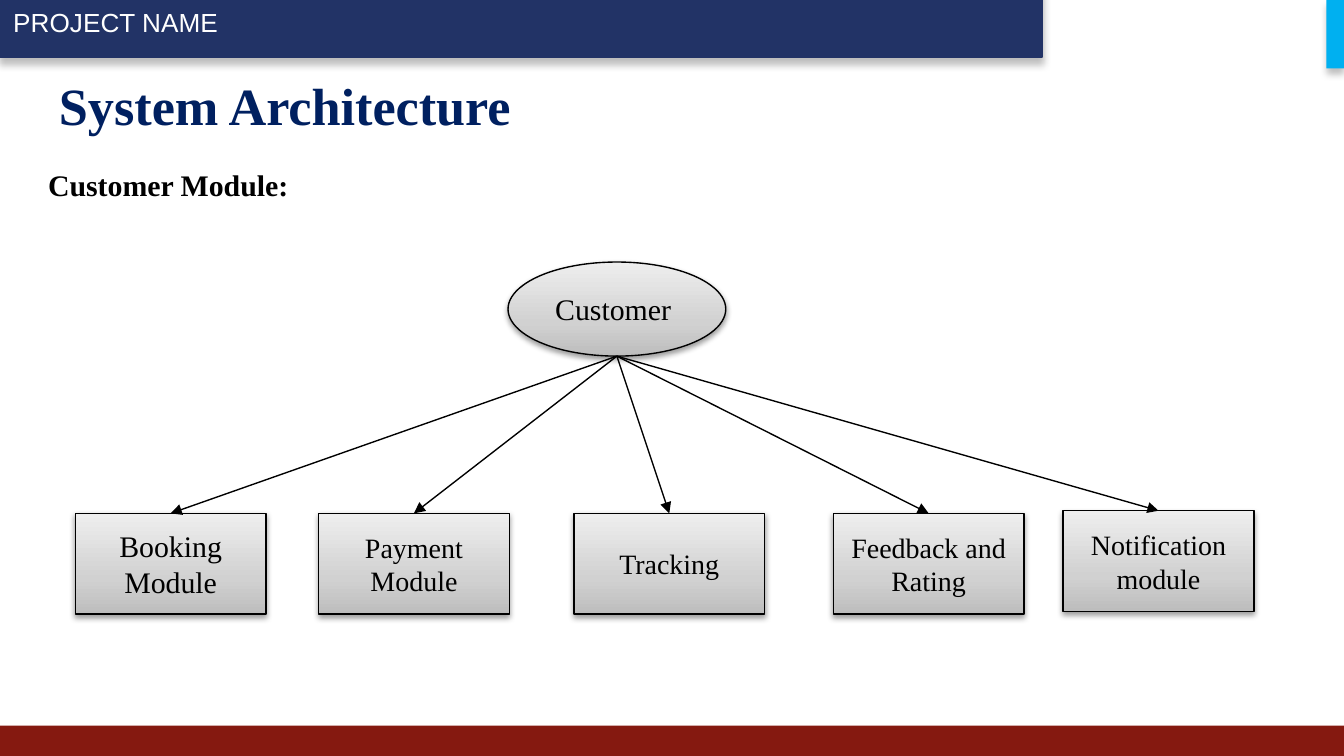
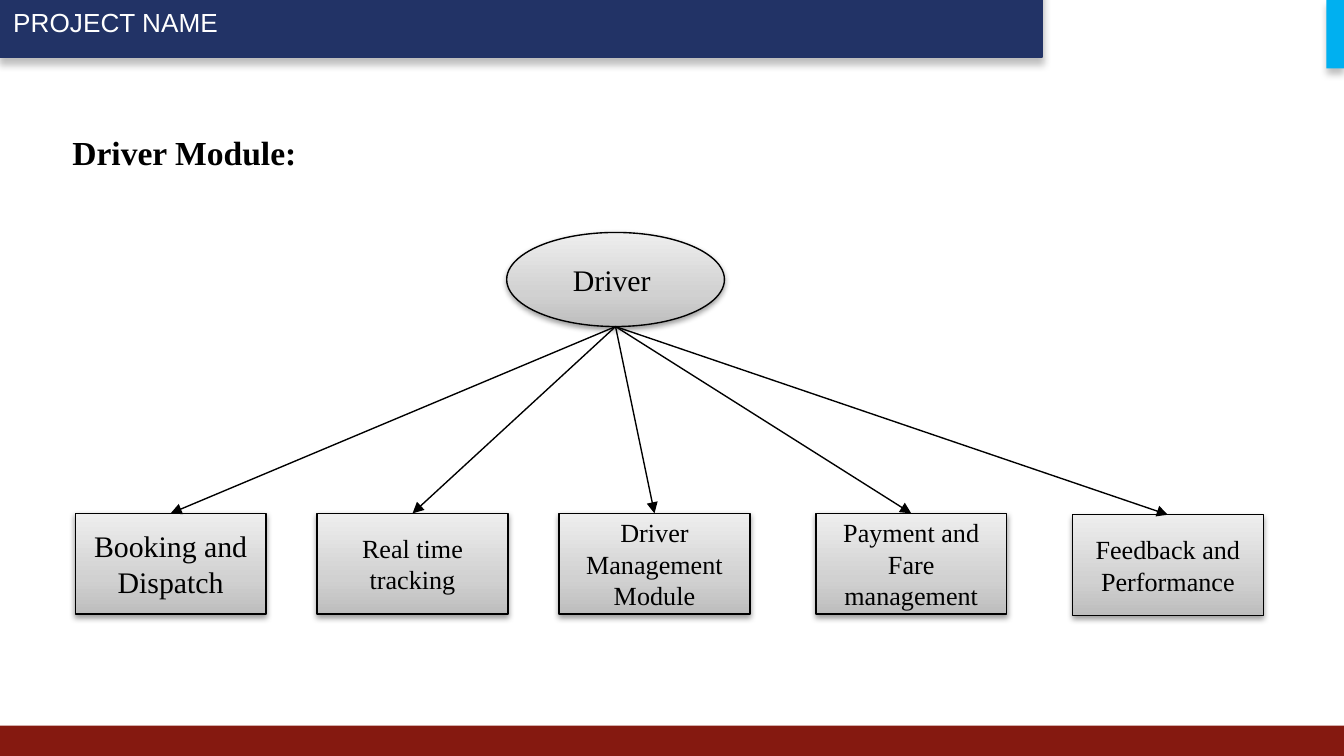
from lxml import etree
from pptx import Presentation
from pptx.dml.color import RGBColor
from pptx.enum.shapes import MSO_CONNECTOR as Connector, MSO_SHAPE as Preset
from pptx.enum.text import MSO_ANCHOR as Anchor, PP_ALIGN as Align
from pptx.oxml.ns import qn
from pptx.util import Inches, Pt

SERIF, SANS = "Times New Roman", "Arial"
NAVY, TITLE_BLUE, MAROON, SKY = "223366", "002060", "851910", "00B0F0"
BLACK, WHITE = "000000", "FFFFFF"
NODE_STOPS = ((0, "BDBDBD"), (35, "D1D1D1"), (100, "EEEEEE"))
# opacity in percent, blur and distance in points
BAND_SHADOW = (25, 4, 3)
NODE_SHADOW = (38, 3.1, 1.6)
NODE_LINE = 0.75
ELLIPSE_SIZE = (1.62, 0.7)
MODULE_SIZE = (1.42, 0.75)


def color(value):
    return RGBColor.from_string(value)


def add_color(parent, value):
    return etree.SubElement(parent, qn("a:srgbClr"), val=value)


def write(shape, text, align=Align.LEFT, anchor=Anchor.MIDDLE, ink=BLACK, **font):
    frame = shape.text_frame
    frame.word_wrap = True
    frame.vertical_anchor = anchor
    para = frame.paragraphs[0]
    para.alignment = align
    span = para.add_run()
    span.text = text
    for name, value in font.items():
        setattr(span.font, name, value)
    span.font.color.rgb = color(ink)


def set_shadow(shape, opacity, blur, distance):
    """Cast a black shadow straight down."""
    effects = shape._element.spPr.find(qn("a:effectLst"))
    outer = etree.SubElement(effects, qn("a:outerShdw"), blurRad=str(Pt(blur)),
                             dist=str(Pt(distance)), dir="5400000", rotWithShape="0")
    etree.SubElement(add_color(outer, BLACK), qn("a:alpha"), val=str(opacity * 1000))


def set_gradient(shape, stops):
    """Blend the stops from the bottom edge to the top."""
    shape.fill.gradient()
    shape.fill.gradient_angle = 90
    stop_list = shape._element.spPr.find(".//" + qn("a:gsLst"))
    for stop in list(stop_list):
        stop_list.remove(stop)
    for position, value in stops:
        add_color(etree.SubElement(stop_list, qn("a:gs"), pos=str(position * 1000)), value)


def add_block(page, box, preset=Preset.RECTANGLE, fill=None, line=None, width=NODE_LINE,
              shadow=None):
    """Add a preset shape; without a fill it gets the node gradient."""
    shape = page.shapes.add_shape(preset, *map(Inches, box))
    shape.shadow.inherit = False
    if fill:
        shape.fill.solid()
        shape.fill.fore_color.rgb = color(fill)
    else:
        set_gradient(shape, NODE_STOPS)
    if line:
        shape.line.color.rgb = color(line)
        shape.line.width = Pt(width)
    else:
        shape.line.fill.background()
    if shadow:
        set_shadow(shape, *shadow)
    return shape


def add_text(page, box, text, **style):
    write(page.shapes.add_textbox(*map(Inches, box)), text, name=SERIF, bold=True, **style)


def add_frame(page):
    """Add the header band, footer band and corner tab every slide carries."""
    header = add_block(page, (0, -0.09, 7.75, 0.51), fill=NAVY, line=NAVY, width=2,
                       shadow=BAND_SHADOW)
    write(header, "PROJECT NAME", ink=WHITE, name=SANS, size=Pt(14))
    add_block(page, (0, 5.4, 10, 0.23), fill=MAROON)
    add_block(page, (9.87, 0, 0.13, 0.51), fill=SKY, shadow=BAND_SHADOW)


def add_node(page, box, preset, text, size):
    node = add_block(page, box, preset, line=BLACK, shadow=NODE_SHADOW)
    write(node, text, Align.CENTER, name=SERIF, size=Pt(size))
    return node


def add_arrow(page, parent, child):
    """Join the bottom of the parent to the top of the child."""
    start = parent.left + parent.width // 2, parent.top + parent.height
    arrow = page.shapes.add_connector(Connector.STRAIGHT, *start, *start)
    arrow.end_connect(child, 0)
    arrow.line.color.rgb = color(BLACK)
    arrow.line.width = Pt(NODE_LINE)
    etree.SubElement(arrow.line._get_or_add_ln(), qn("a:tailEnd"), type="triangle")
    etree.SubElement(arrow._element.spPr, qn("a:effectLst"))


def add_tree(page, corner, actor, modules):
    """Place the actor ellipse over its modules, each (left, top, label, size)."""
    root = add_node(page, (*corner, *ELLIPSE_SIZE), Preset.OVAL, actor, 16)
    children = [add_node(page, (left, top, *MODULE_SIZE), Preset.RECTANGLE, label, size)
                for left, top, label, size in modules]
    for child in children:
        add_arrow(page, root, child)


def add_module_slide(deck, heading, heading_box, heading_size, corner, actor, modules,
                     title=None):
    page = deck.slides.add_slide(deck.slide_layouts[6])
    add_frame(page)
    if title:
        add_text(page, (0.34, 0.49, 9.32, 0.57), title, ink=TITLE_BLUE, size=Pt(28))
    add_text(page, heading_box, heading, align=Align.JUSTIFY, anchor=Anchor.TOP,
             size=Pt(heading_size))
    add_tree(page, corner, actor, modules)


def main():
    deck = Presentation()
    deck.slide_width = Inches(10)
    deck.slide_height = deck.slide_width * 9 // 16
    add_module_slide(
        deck, "Customer Module:", (0.26, 1.19, 9.21, 0.64), 16, (3.78, 1.95), "Customer ",
        [(0.56, 3.82, "Booking Module", 16),
         (2.37, 3.82, "Payment Module", 15),
         (4.27, 3.82, "Tracking", 15),
         (6.2, 3.82, "Feedback and Rating", 15),
         (7.91, 3.8, "Notification module", 15)],
        title="System Architecture")
    add_module_slide(
        deck, "Driver Module:", (0.44, 0.93, 5.27, 0.4), 18, (3.77, 1.73), "Driver ",
        [(0.56, 3.82, "Booking and Dispatch", 16),
         (2.36, 3.82, "Real time tracking", 14),
         (4.16, 3.82, "Driver Management Module", 14),
         (6.07, 3.82, "Payment and Fare management", 14),
         (7.98, 3.83, "Feedback and Performance", 14)])
    deck.save("out.pptx")


if __name__ == "__main__":
    main()
